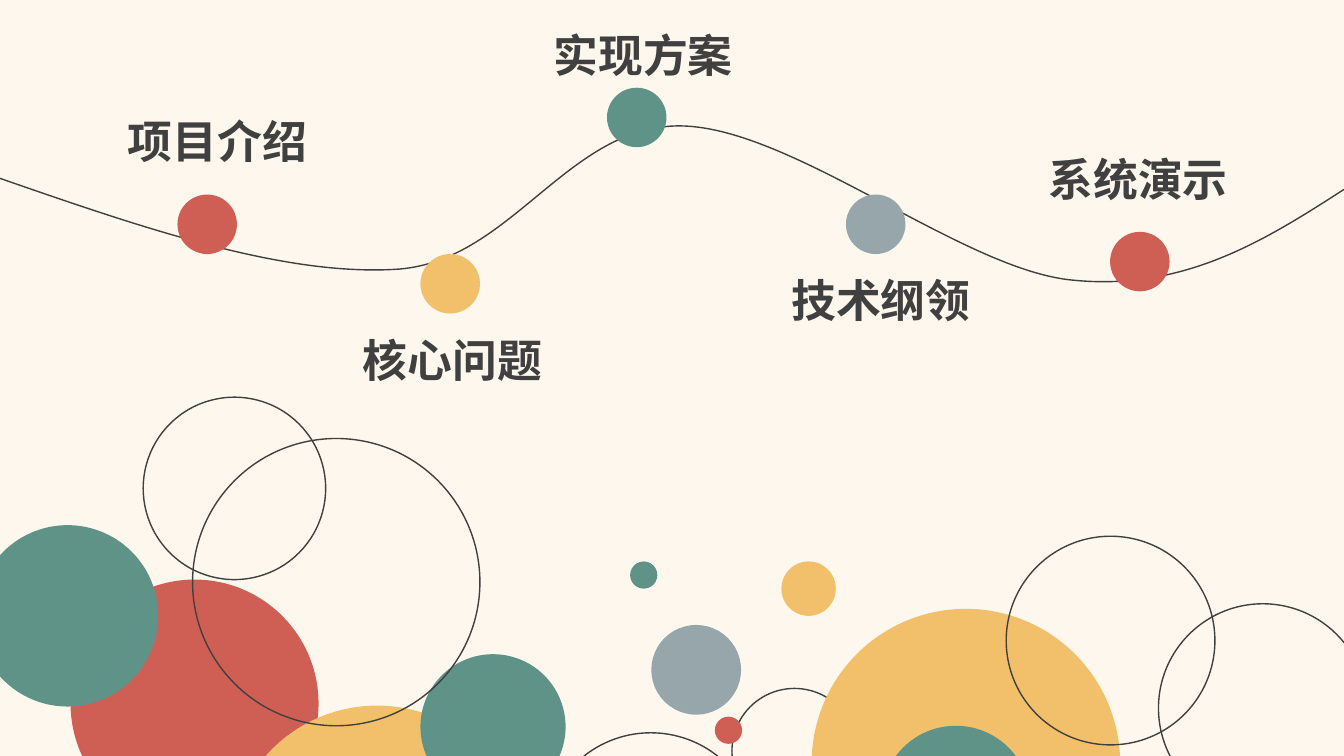
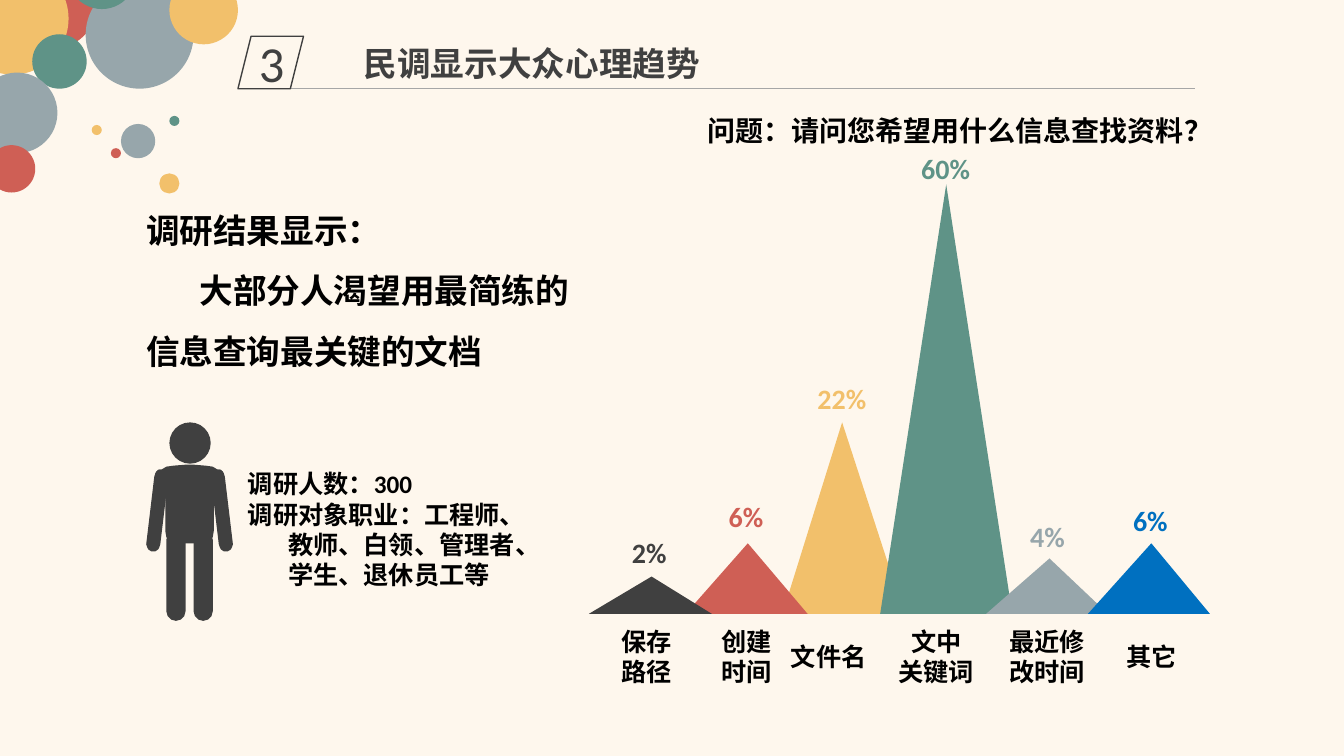
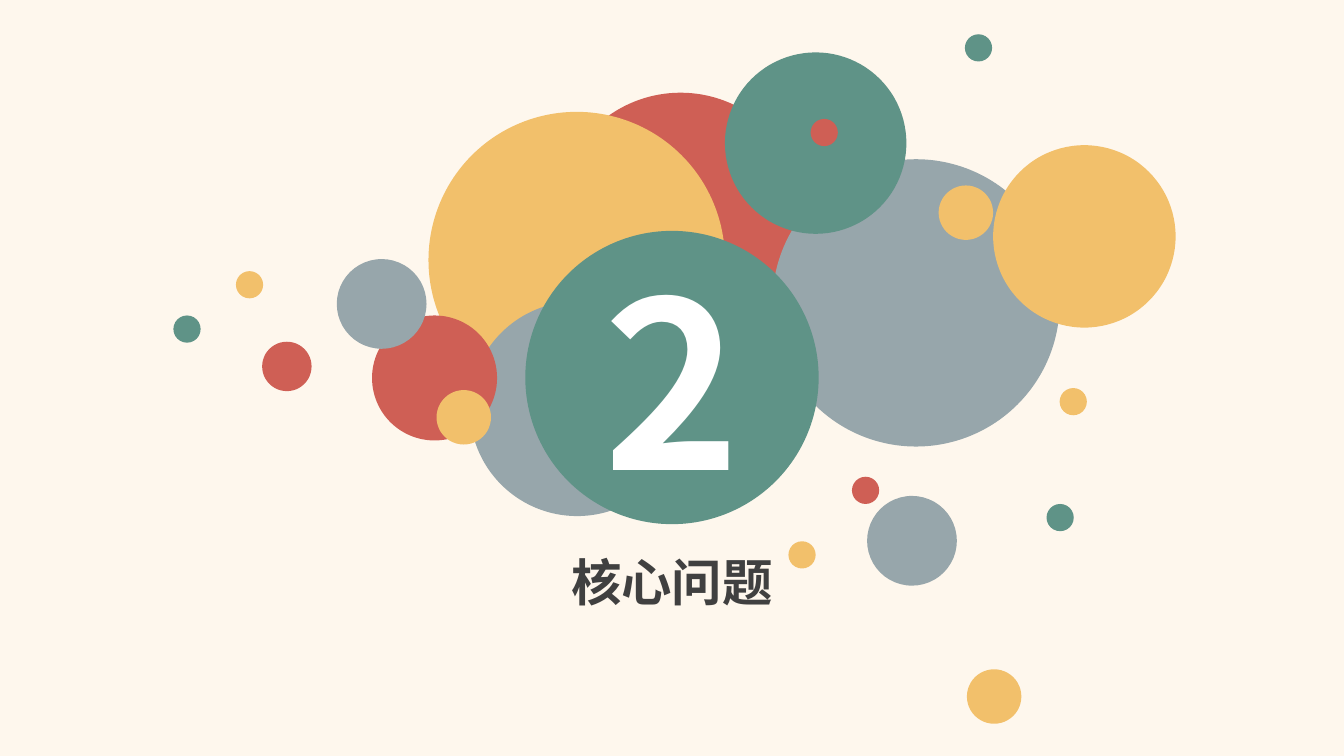
from lxml.etree import SubElement
from pptx import Presentation
from pptx.dml.color import RGBColor
from pptx.enum.shapes import MSO_CONNECTOR as Connector, MSO_SHAPE as Preset
from pptx.enum.text import MSO_ANCHOR as Anchor, MSO_AUTO_SIZE as AutoSize, PP_ALIGN as Align
from pptx.oxml.ns import qn
from pptx.util import Inches, Pt

CREAM, DARK, BLACK, WHITE = "FEF7ED", "404040", "000000", "FFFFFF"
RED, GOLD, GREEN, GREY = "CF5F55", "F2C06B", "5F9387", "97A6AB"
BLUE, RULE_GREY = "0070C0", "A6A6A6"
HEAD_FONT, BODY_FONT = "Noto Sans CJK SC", "Calibri"
OUTLINE = None

# Circles: left, top, diameter, colour
AGENDA_CIRCLES = [
    (0.7, 5.75, 2.46, RED), (2.27, 7, 2.94, GOLD), (4.17, 6.49, 1.44, GREEN),
    (5.39, 7.27, 2.13, OUTLINE), (1.91, 4.35, 2.85, OUTLINE), (-0.23, 5.21, 1.8, GREEN),
    (7.26, 6.83, 1.24, OUTLINE), (8.05, 6.04, 3.06, GOLD), (8.74, 7.2, 1.48, GREEN),
    (9.98, 5.32, 2.07, OUTLINE), (11.49, 5.99, 2.07, OUTLINE), (6.46, 6.2, 0.89, GREY),
    (7.09, 7.11, 0.27, RED), (6.25, 5.57, 0.27, GREEN), (7.75, 5.57, 0.54, GOLD),
    (1.42, 3.94, 1.81, OUTLINE),
]
CORNER_CIRCLES = [
    (0.04, -0.44, 0.93, RED), (-0.43, -0.37, 1.11, GOLD), (0.32, 0.34, 0.54, GREEN),
    (-0.23, 0.72, 0.8, GREY), (0.85, -0.19, 1.07, GREY), (0.67, -0.59, 0.68, GREEN),
    (-0.12, 1.44, 0.47, RED), (1.2, 1.23, 0.34, GREY), (1.1, 1.47, 0.1, RED),
    (0.91, 1.24, 0.1, GOLD), (1.68, 1.15, 0.1, GREEN), (1.58, 1.72, 0.2, GOLD),
    (1.68, -0.24, 0.68, GOLD),
]
SECTION_CIRCLES = [
    (5.52, 0.92, 2.46, RED), (4.25, 1.11, 2.94, GOLD), (4.66, 2.99, 2.13, GREY),
    (7.66, 1.58, 2.85, GREY), (7.19, 0.52, 1.8, GREEN), (3.69, 3.13, 1.24, RED),
    (8.6, 4.92, 0.89, GREY), (8.45, 4.73, 0.27, RED), (7.82, 5.37, 0.27, GOLD),
    (10.38, 5, 0.27, GREEN), (9.59, 6.64, 0.54, GOLD), (9.85, 1.44, 1.81, GOLD),
    (3.34, 2.57, 0.89, GREY), (2.6, 3.39, 0.49, RED), (2.34, 2.69, 0.27, GOLD),
    (1.72, 3.13, 0.27, GREEN), (4.33, 3.87, 0.54, GOLD), (8.04, 1.18, 0.27, RED),
    (10.51, 3.85, 0.27, GOLD), (9.57, 0.34, 0.27, GREEN), (9.31, 1.84, 0.54, GOLD),
]
# Agenda stops: dot left, dot top, colour, label left, label top, label
AGENDA_STOPS = [
    (1.76, 1.93, RED, 1.17, 1.08, "项目介绍"),
    (4.17, 2.52, GOLD, 3.5, 3.25, "核心问题"),
    (6.02, 0.87, GREEN, 5.39, 0.23, "实现方案"),
    (8.39, 1.93, GREY, 7.75, 2.66, "技术纲领"),
    (11.01, 2.3, RED, 10.3, 1.46, "系统演示"),
]
WAVE = [
    (0, 1.77), (1.41, 2.26), (2.83, 2.75), (3.96, 2.67), (5.08, 2.58), (5.64, 1.23),
    (6.76, 1.25), (7.87, 1.27), (9.55, 2.68), (10.64, 2.78), (11.74, 2.89),
    (12.54, 2.39), (13.33, 1.88),
]
# Peaks: left, width, height, apex, colour
PEAKS = [
    (7.76, 1.21, 1.9, 0.49, GOLD), (6.8, 1.21, 0.7, 0.51, RED),
    (5.84, 1.22, 0.37, 0.51, DARK), (8.73, 1.31, 4.26, 0.5, GREEN),
    (9.78, 1.21, 0.55, 0.52, GREY), (10.79, 1.21, 0.7, 0.52, BLUE),
]
PEAK_BASE = 6.09
# Shares: centre, top, value, colour
SHARES = [
    (6.44, 5.26, "2%", DARK), (7.4, 4.91, "6%", RED), (8.35, 3.74, "22%", GOLD),
    (9.38, 1.45, "60%", GREEN), (10.39, 5.1, "4%", GREY), (11.41, 4.95, "6%", BLUE),
]
SHARE_WIDTH = 1
# Categories: left, top, width, lines
CATEGORIES = [
    (6.03, 6.16, 0.77, ["保存路径"]), (6.82, 6.16, 1.17, ["创建", "时间"]),
    (7.66, 6.31, 1.12, ["文件名"]), (8.69, 6.16, 1.19, ["文中", "关键词"]),
    (9.79, 6.16, 1.19, ["最近修改时间"]), (11.04, 6.31, 0.77, ["其它"]),
]
# Left arm, and left half of the torso from neck to hip
ARM = [
    (1.59, 5.4), (1.58, 5.43), (1.57, 5.45), (1.54, 5.47), (1.5, 5.47), (1.47, 5.45),
    (1.46, 5.43), (1.45, 5.4), (1.53, 4.73), (1.54, 4.7), (1.55, 4.68), (1.58, 4.66),
    (1.63, 4.66), (1.65, 4.68), (1.66, 4.7), (1.67, 4.73),
]
TORSO = [
    (1.84, 4.61), (1.72, 4.62), (1.65, 4.63), (1.6, 4.66), (1.57, 4.66), (1.55, 4.68),
    (1.54, 4.7), (1.54, 4.74), (1.57, 4.76), (1.6, 4.78), (1.64, 4.81), (1.64, 5.27),
    (1.65, 5.33), (1.68, 5.36), (1.7, 5.37), (1.73, 5.38), (1.76, 5.39), (1.84, 5.39),
]
PERSON_AXIS = 1.88


def rgb(color):
    return RGBColor.from_string(color)


def paint(shape, fill):
    """Fill without a line, or draw a thin dark outline when there is no fill."""
    shape.shadow.inherit = False
    if fill is OUTLINE:
        shape.fill.background()
        shape.line.color.rgb = rgb(DARK)
        shape.line.width = Pt(1)
    else:
        shape.fill.solid()
        shape.fill.fore_color.rgb = rgb(fill)
        shape.line.fill.background()
    return shape


def add_preset(shapes, preset, left, top, width, height, fill):
    lengths = map(Inches, (left, top, width, height))
    return paint(shapes.add_shape(preset, *lengths), fill)


def add_circle(shapes, left, top, size, fill):
    return add_preset(shapes, Preset.OVAL, left, top, size, size, fill)


def add_circles(shapes, circles):
    for circle in circles:
        add_circle(shapes, *circle)


def add_outline(shapes, points, fill, close=True):
    start, *rest = [(Inches(x), Inches(y)) for x, y in points]
    builder = shapes.build_freeform(*start)
    builder.add_line_segments(rest, close=close)
    return paint(builder.convert_to_shape(), fill)


def add_curve(shapes, points):
    """Draw an open Bezier line: a start, then two controls and an end per part."""
    curve = add_outline(shapes, points, OUTLINE, close=False)
    track = curve.element.find(".//" + qn("a:path"))
    steps = track.findall(qn("a:lnTo"))
    for first in range(0, len(steps), 3):
        bend = SubElement(track, qn("a:cubicBezTo"))
        for step in steps[first:first + 3]:
            bend.append(step[0])
            track.remove(step)


def add_rule(shapes, left, right, top):
    rule = shapes.add_connector(
        Connector.STRAIGHT, Inches(left), Inches(top), Inches(right), Inches(top))
    rule.line.color.rgb = rgb(RULE_GREY)
    rule.line.width = Pt(0.5)
    SubElement(rule.element.spPr, qn("a:effectLst"))


def write(frame, lines, size, color, font=BODY_FONT, bold=True, align=Align.LEFT):
    for number, line in enumerate(lines):
        para = frame.paragraphs[0] if number == 0 else frame.add_paragraph()
        para.alignment = align
        span = para.add_run()
        span.text = line
        span.font.size = Pt(size)
        span.font.bold = bold
        span.font.name = font
        span.font.color.rgb = rgb(color)
        SubElement(span.font._element, qn("a:ea"), typeface=HEAD_FONT)


def add_text(shapes, left, top, width, height, lines, size, color=BLACK, **style):
    box = shapes.add_textbox(*map(Inches, (left, top, width, height)))
    frame = box.text_frame
    frame.word_wrap = True
    frame.auto_size = AutoSize.SHAPE_TO_FIT_TEXT
    write(frame, lines, size, color, **style)
    return frame


def label_shape(shape, label, size, color, **style):
    shape.text_frame.vertical_anchor = Anchor.MIDDLE
    write(shape.text_frame, [label], size, color, align=Align.CENTER, **style)


def indent(para, margin=0.0, first=0.0):
    props = para._p.get_or_add_pPr()
    props.set("marL", str(Inches(margin)))
    props.set("indent", str(Inches(first)))


def mirror(points):
    return [(2 * PERSON_AXIS - x, y) for x, y in points]


def add_person(page):
    parts = page.shapes.add_group_shape().shapes
    add_outline(parts, ARM, DARK)
    add_outline(parts, mirror(ARM), DARK)
    add_circle(parts, 1.68, 4.19, 0.41, DARK)
    for left in (1.65, 1.92):
        leg = add_preset(parts, Preset.ROUNDED_RECTANGLE, left, 5.26, 0.19, 0.9, DARK)
        leg.adjustments[0] = 0.5
    add_outline(parts, TORSO + mirror(TORSO)[::-1], DARK)


def add_header(page, number, title):
    add_circles(page.shapes.add_group_shape().shapes, CORNER_CIRCLES)
    add_rule(page.shapes, 2.84, 11.85, 0.88)
    tag = add_preset(page.shapes, Preset.PARALLELOGRAM, 2.36, 0.36, 0.65, 0.52, OUTLINE)
    label_shape(tag, number, 36, DARK, bold=False)
    add_text(page.shapes, 3.51, 0.38, 5.13, 0.5, [title], 24, DARK, font=HEAD_FONT)


def add_peak_chart(page):
    for left, width, height, apex, color in PEAKS:
        peak = add_preset(page.shapes, Preset.ISOSCELES_TRIANGLE,
                          left, PEAK_BASE - height, width, height, color)
        peak.adjustments[0] = apex
    for centre, top, value, color in SHARES:
        add_text(page.shapes, centre - SHARE_WIDTH / 2, top, SHARE_WIDTH, 0.44,
                 [value], 20, color, align=Align.CENTER)
    for left, top, width, lines in CATEGORIES:
        add_text(page.shapes, left, top, width, 0.71, lines, 18, align=Align.CENTER)


def build_agenda(page):
    add_circles(page.shapes, AGENDA_CIRCLES)
    add_curve(page.shapes, WAVE)
    for dot_left, dot_top, color, left, top, label in AGENDA_STOPS:
        add_circle(page.shapes, dot_left, dot_top, 0.59, color)
        add_text(page.shapes, left, top, 3.11, 0.64, [label], 32, DARK, font=HEAD_FONT)


def build_survey(page):
    add_header(page, "3", "民调显示大众心理趋势")
    add_person(page)
    finding = add_text(page.shapes, 1.35, 1.83, 4.45, 1.92,
                       ["调研结果显示：", "大部分人渴望用最简练的信息查询最关键的文档"], 24)
    for para in finding.paragraphs:
        para.line_spacing = 1.5
    indent(finding.paragraphs[1], first=0.53)
    sample = add_text(
        page.shapes, 2.36, 4.6, 3.3, 1.31,
        ["调研人数：300", "调研对象职业：工程师、", "教师、白领、管理者、", "学生、退休员工等"], 18)
    for para in sample.paragraphs[2:]:
        indent(para, margin=0.4)
    add_text(page.shapes, 6.86, 1.08, 5.04, 0.44,
             ["问题：请问您希望用什么信息查找资料？"], 20, align=Align.CENTER)
    add_peak_chart(page)


def build_section(page):
    add_circles(page.shapes, SECTION_CIRCLES)
    badge = add_circle(page.shapes, 5.21, 2.29, 2.91, GREEN)
    label_shape(badge, "2", 166, WHITE, font=HEAD_FONT)
    add_text(page.shapes, 3.65, 5.42, 6.03, 0.71, ["核心问题"], 36, DARK,
             font=HEAD_FONT, align=Align.CENTER)


def main():
    deck = Presentation()
    deck.slide_width, deck.slide_height = Inches(13.33), Inches(7.5)
    backdrop = deck.slide_master.background.fill
    backdrop.solid()
    backdrop.fore_color.rgb = rgb(CREAM)
    for build in (build_agenda, build_survey, build_section):
        build(deck.slides.add_slide(deck.slide_layouts[6]))
    deck.save("out.pptx")


if __name__ == "__main__":
    main()
